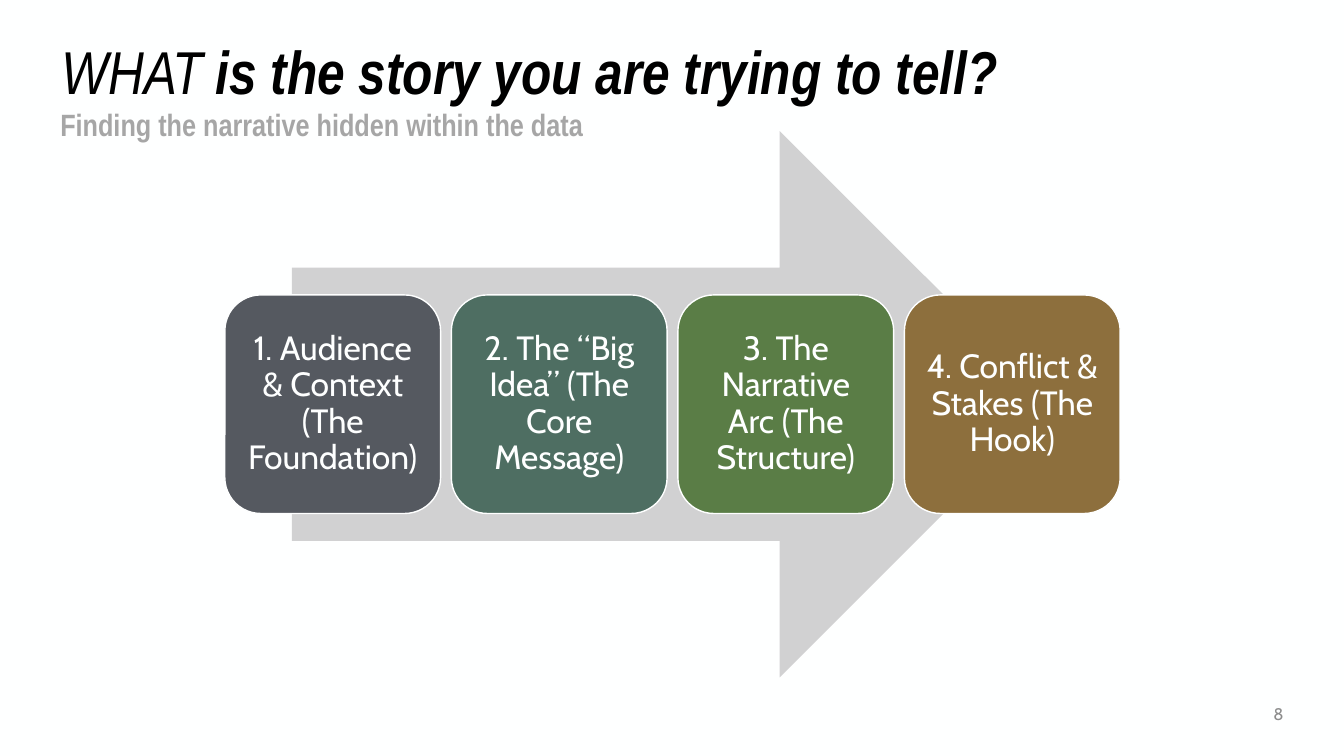
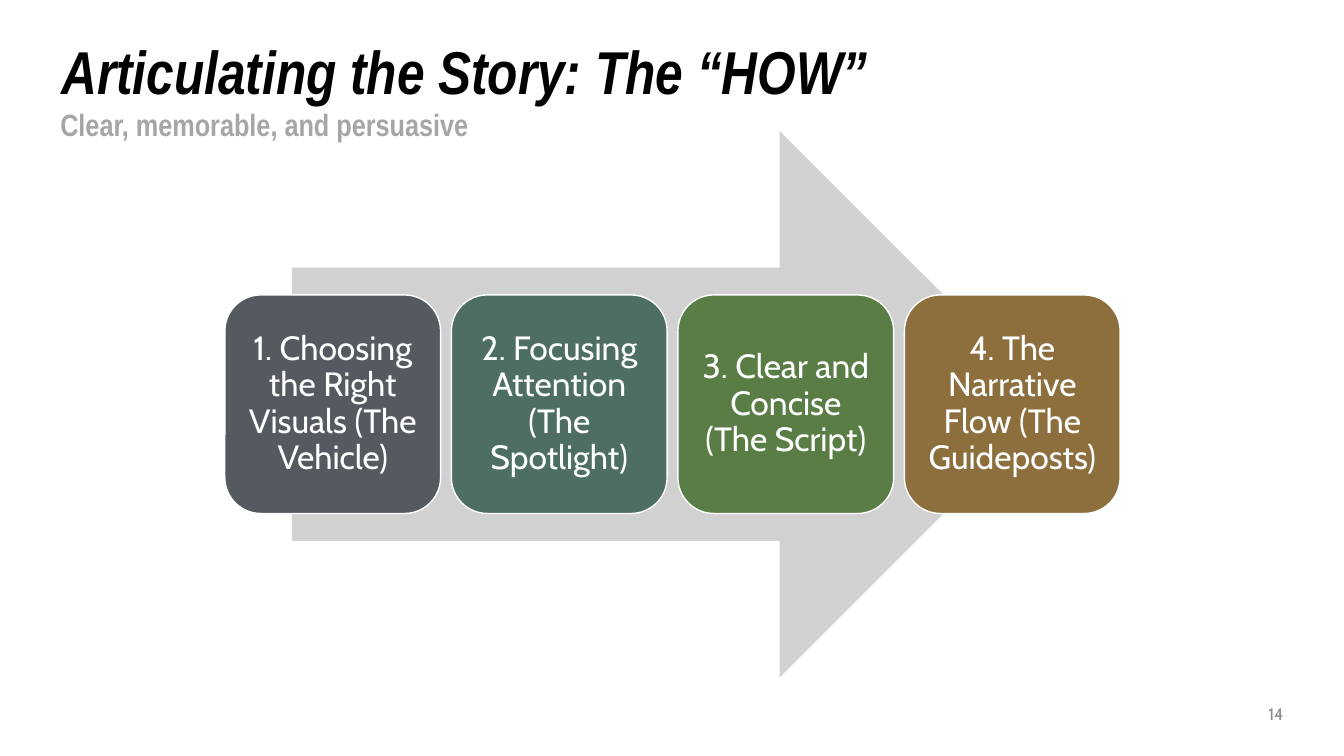
from dataclasses import dataclass

from pptx import Presentation
from pptx.dml.color import RGBColor
from pptx.enum.shapes import MSO_SHAPE
from pptx.enum.text import MSO_ANCHOR, PP_ALIGN
from pptx.util import Inches, Pt

RIGHT_ARROW = MSO_SHAPE.RIGHT_ARROW
ROUNDED = MSO_SHAPE.ROUNDED_RECTANGLE
TOP, MIDDLE = MSO_ANCHOR.TOP, MSO_ANCHOR.MIDDLE
LEFT, CENTER, RIGHT = PP_ALIGN.LEFT, PP_ALIGN.CENTER, PP_ALIGN.RIGHT

PAPER = RGBColor(0xFE, 0xFF, 0xFF)
INK = RGBColor(0x00, 0x00, 0x00)
SUBTITLE_GRAY = RGBColor(0xA6, 0xA6, 0xA6)
NUMBER_GRAY = RGBColor(0x8C, 0x8C, 0x8C)
ARROW_GRAY = RGBColor(0xD1, 0xD1, 0xD2)
STEP_COLORS = [
    RGBColor(0x55, 0x59, 0x60),
    RGBColor(0x4E, 0x6E, 0x62),
    RGBColor(0x5A, 0x7D, 0x46),
    RGBColor(0x8D, 0x6F, 0x3D),
]

HEADING_FONT = "Arial Narrow"
BODY_FONT = "Cabin"


@dataclass
class Box:
    left: float
    top: float
    width: float
    height: float

    def inner(self, left, top, width, height):
        return Box(
            self.left + left * self.width,
            self.top + top * self.height,
            width * self.width,
            height * self.height,
        )

    def lengths(self):
        return [Inches(n) for n in (self.left, self.top, self.width, self.height)]


SLIDE = Box(0, 0, 13.33, 7.5)
TITLE = Box(0.51, 0.42, 12.32, 0.64)
SUBTITLE = Box(0.5, 1.04, 12.33, 0.4)
PAGE_NUMBER = Box(11.63, 6.88, 1.2, 0.4)
PROCESS = Box(2.23, 1.3, 8.88, 5.42)

ARROW_SHARE = 0.85
CARD_HEIGHT_SHARE = 0.4
GAP_PER_CARD = 0.05

PAGES = [
    {
        "title": [("WHAT ", False), ("is the story you are trying to tell?", True)],
        "subtitle": "Finding the narrative hidden within the data",
        "number": "8",
        "steps": [
            "1. Audience & Context (The Foundation)",
            "2. The “Big Idea” (The Core Message)",
            "3. The Narrative Arc (The Structure)",
            "4. Conflict & Stakes (The Hook)",
        ],
    },
    {
        "title": [("Articulating the Story: The “HOW”", True)],
        "subtitle": "Clear, memorable, and persuasive",
        "number": "14",
        "steps": [
            "1. Choosing the Right Visuals (The Vehicle)",
            "2. Focusing Attention (The Spotlight)",
            "3. Clear and Concise (The Script)",
            "4. The Narrative Flow (The Guideposts)",
        ],
    },
]


def write(shape, spans, font, size, color, align=LEFT, anchor=MIDDLE, spacing=0.9):
    frame = shape.text_frame
    frame.word_wrap = True
    frame.vertical_anchor = anchor
    para = frame.paragraphs[0]
    para.alignment = align
    para.line_spacing = spacing
    para.font.name = font
    para.font.size = Pt(size)
    para.font.color.rgb = color
    for text, bold in spans:
        span = para.add_run()
        span.text = text
        span.font.bold = bold
    return para


def add_heading(page, title, subtitle):
    subtitle_box = page.shapes.add_textbox(*SUBTITLE.lengths())
    write(subtitle_box, [(subtitle, True)], HEADING_FONT, 22, SUBTITLE_GRAY, anchor=TOP)
    title_box = page.shapes.add_textbox(*TITLE.lengths())
    para = write(title_box, title, HEADING_FONT, 43.2, INK)
    para.font.italic = True


def add_page_number(page, number):
    number_box = page.shapes.add_textbox(*PAGE_NUMBER.lengths())
    write(number_box, [(number, False)], BODY_FONT, 12, NUMBER_GRAY, RIGHT, spacing=1.0)


def add_filled(shapes, kind, box, color):
    shape = shapes.add_shape(kind, *box.lengths())
    shape.shadow.inherit = False
    shape.fill.solid()
    shape.fill.fore_color.rgb = color
    return shape


def add_card(shapes, box, text, color):
    card = add_filled(shapes, ROUNDED, box, color)
    card.line.color.rgb = PAPER
    card.line.width = Pt(1)
    frame = card.text_frame
    frame.margin_left = frame.margin_right = Inches(0.1)
    frame.margin_top = frame.margin_bottom = Inches(0.1)
    write(card, [(text, False)], BODY_FONT, 24, PAPER, CENTER)


def add_process(page, box, steps):
    shapes = page.shapes.add_group_shape().shapes
    arrow_box = box.inner((1 - ARROW_SHARE) / 2, 0, ARROW_SHARE, 1)
    arrow = add_filled(shapes, RIGHT_ARROW, arrow_box, ARROW_GRAY)
    arrow.line.fill.background()

    width = 1 / (len(steps) + (len(steps) - 1) * GAP_PER_CARD)
    pitch = width * (1 + GAP_PER_CARD)
    top = (1 - CARD_HEIGHT_SHARE) / 2
    for column, (text, color) in enumerate(zip(steps, STEP_COLORS)):
        card_box = box.inner(column * pitch, top, width, CARD_HEIGHT_SHARE)
        add_card(shapes, card_box, text, color)


def add_process_page(deck, content):
    page = deck.slides.add_slide(deck.slide_layouts[6])
    add_heading(page, content["title"], content["subtitle"])
    add_page_number(page, content["number"])
    add_process(page, PROCESS, content["steps"])


def main():
    deck = Presentation()
    deck.slide_width = Inches(SLIDE.width)
    deck.slide_height = Inches(SLIDE.height)
    backdrop = deck.slide_master.background.fill
    backdrop.solid()
    backdrop.fore_color.rgb = PAPER
    for content in PAGES:
        add_process_page(deck, content)
    deck.save("out.pptx")


if __name__ == "__main__":
    main()
